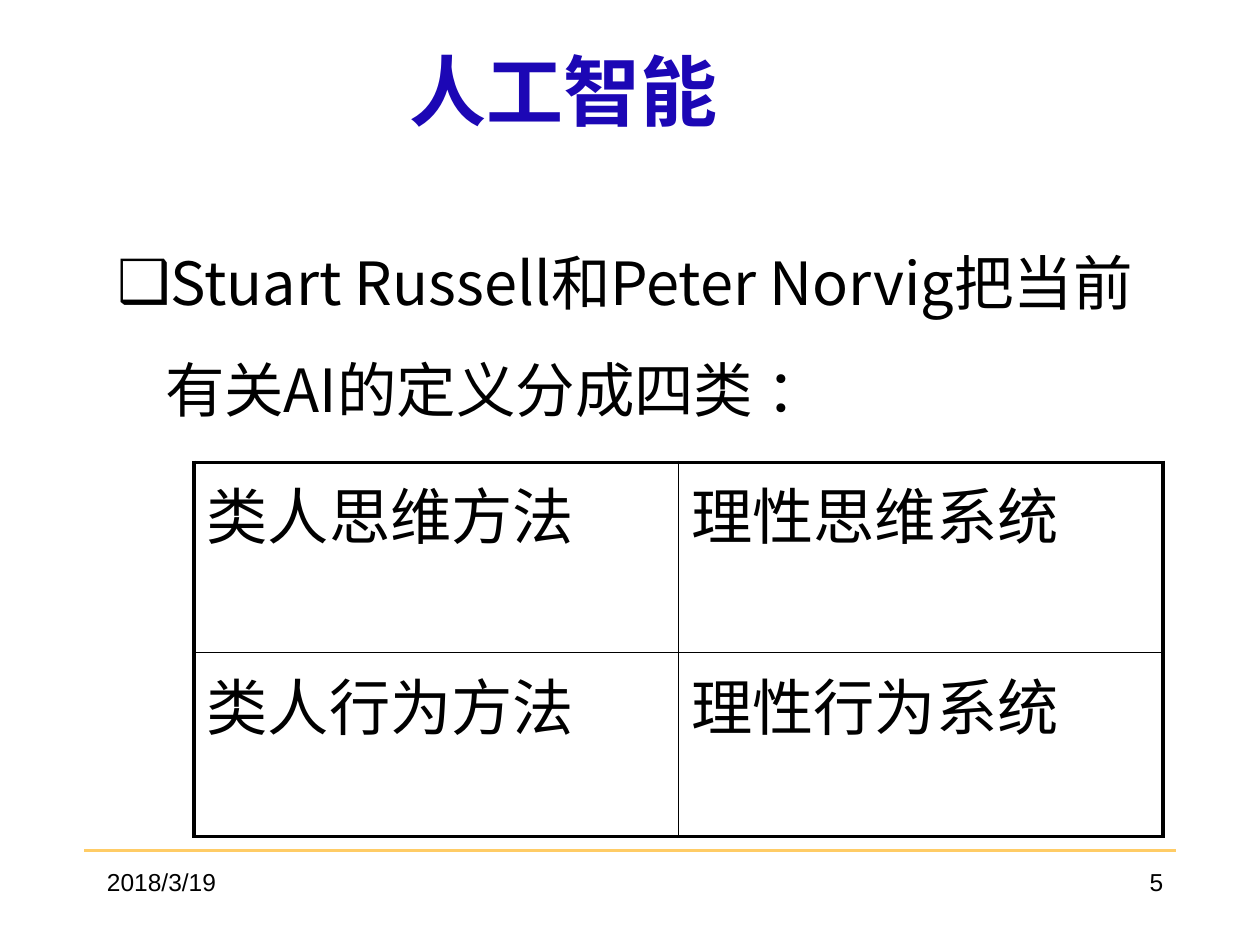
from lxml.etree import SubElement
from pptx import Presentation
from pptx.dml.color import RGBColor
from pptx.enum.shapes import MSO_CONNECTOR
from pptx.enum.text import MSO_ANCHOR, MSO_AUTO_SIZE, PP_ALIGN
from pptx.oxml.ns import qn
from pptx.util import Inches, Pt

BLACK = RGBColor(0x00, 0x00, 0x00)
TITLE_BLUE = RGBColor(0x1C, 0x07, 0xB5)
RULE_GOLD = RGBColor(0xFF, 0xCC, 0x66)
CJK_FONT = "Noto Sans CJK SC"
FOOTER_FONT = "Arial"
THICK, THIN = Pt(2.25), Pt(1)


def add_run(paragraph, text, size, font=CJK_FONT, color=BLACK, bold=False):
    run = paragraph.add_run()
    run.text = text
    run.font.size = Pt(size)
    run.font.bold = bold
    run.font.color.rgb = color
    run.font.name = font
    SubElement(run.font._element, qn("a:ea"), typeface=font)


def place(shape, box):
    shape.left, shape.top, shape.width, shape.height = map(Inches, box)


def fill_title(slide, box):
    title = slide.shapes.title
    place(title, box)
    frame = title.text_frame
    frame.auto_size = MSO_AUTO_SIZE.NONE
    frame.vertical_anchor = MSO_ANCHOR.MIDDLE
    paragraph = frame.paragraphs[0]
    paragraph.alignment = PP_ALIGN.CENTER
    add_run(paragraph, "人工智能", 44, color=TITLE_BLUE, bold=True)


def fill_body(slide, box):
    body = slide.placeholders[1]
    place(body, box)
    frame = body.text_frame
    frame.auto_size = MSO_AUTO_SIZE.NONE
    paragraph = frame.paragraphs[0]
    paragraph.line_spacing = 1.5
    paragraph.space_before = Pt(7)
    # Hanging bullet
    properties = paragraph._p.get_or_add_pPr()
    properties.set("marL", str(Inches(0.38)))
    properties.set("indent", str(-Inches(0.38)))
    SubElement(properties, qn("a:buChar"), char="❑")
    add_run(paragraph, "Stuart Russell和Peter Norvig把当前有关AI的定义分成四类 ：", 34)


def set_border(cell, side, width):
    line = SubElement(cell._tc.get_or_add_tcPr(), qn(f"a:ln{side}"), w=str(width))
    fill = SubElement(line, qn("a:solidFill"))
    SubElement(fill, qn("a:srgbClr"), val=str(BLACK))


def add_definition_table(slide, box):
    texts = [["类人思维方法", "理性思维系统"],
             ["类人行为方法", "理性行为系统"]]
    table = slide.shapes.add_table(2, 2, *map(Inches, box)).table
    table.first_row = table.horz_banding = False
    for row, height in zip(table.rows, (1.51, 1.46)):
        row.height = Inches(height)
    for r, row_texts in enumerate(texts):
        for c, text in enumerate(row_texts):
            cell = table.cell(r, c)
            # Thick outer frame, thin inner rules
            outer = {"L": c == 0, "R": c == 1, "T": r == 0, "B": r == 1}
            for side, is_outer in outer.items():
                set_border(cell, side, THICK if is_outer else THIN)
            cell.fill.background()
            paragraph = cell.text_frame.paragraphs[0]
            paragraph.space_before = Pt(7)
            add_run(paragraph, text, 35)


def add_footer(slide, box):
    left, top, width, height = box
    # Gold rule
    rule = slide.shapes.add_connector(
        MSO_CONNECTOR.STRAIGHT, Inches(left), Inches(top),
        Inches(left + width), Inches(top))
    rule.line.color.rgb = RULE_GOLD
    rule.line.width = Pt(1.5)
    SubElement(rule._element.spPr, qn("a:effectLst"))
    # Date on the left, page number on the right
    label_width = 2.08
    labels = [("2018/3/19", left + 0.08, PP_ALIGN.LEFT),
              ("5", left + width - label_width, PP_ALIGN.RIGHT)]
    for text, label_left, alignment in labels:
        label = slide.shapes.add_textbox(
            Inches(label_left), Inches(top + 0.08),
            Inches(label_width), Inches(height - 0.08))
        label.text_frame.word_wrap = True
        paragraph = label.text_frame.paragraphs[0]
        paragraph.alignment = alignment
        add_run(paragraph, text, 14, font=FOOTER_FONT)


def main():
    presentation = Presentation()
    presentation.slide_width = Inches(10)
    presentation.slide_height = Inches(7.5)
    slide = presentation.slides.add_slide(presentation.slide_layouts[1])
    add_footer(slide, (0.67, 6.75, 8.66, 0.58))
    fill_title(slide, (0.35, 0, 8.25, 1.42))
    fill_body(slide, (0.83, 1.62, 8.5, 4.5))
    add_definition_table(slide, (1.54, 3.67, 7.69, 2.97))
    presentation.save("out.pptx")


if __name__ == "__main__":
    main()
